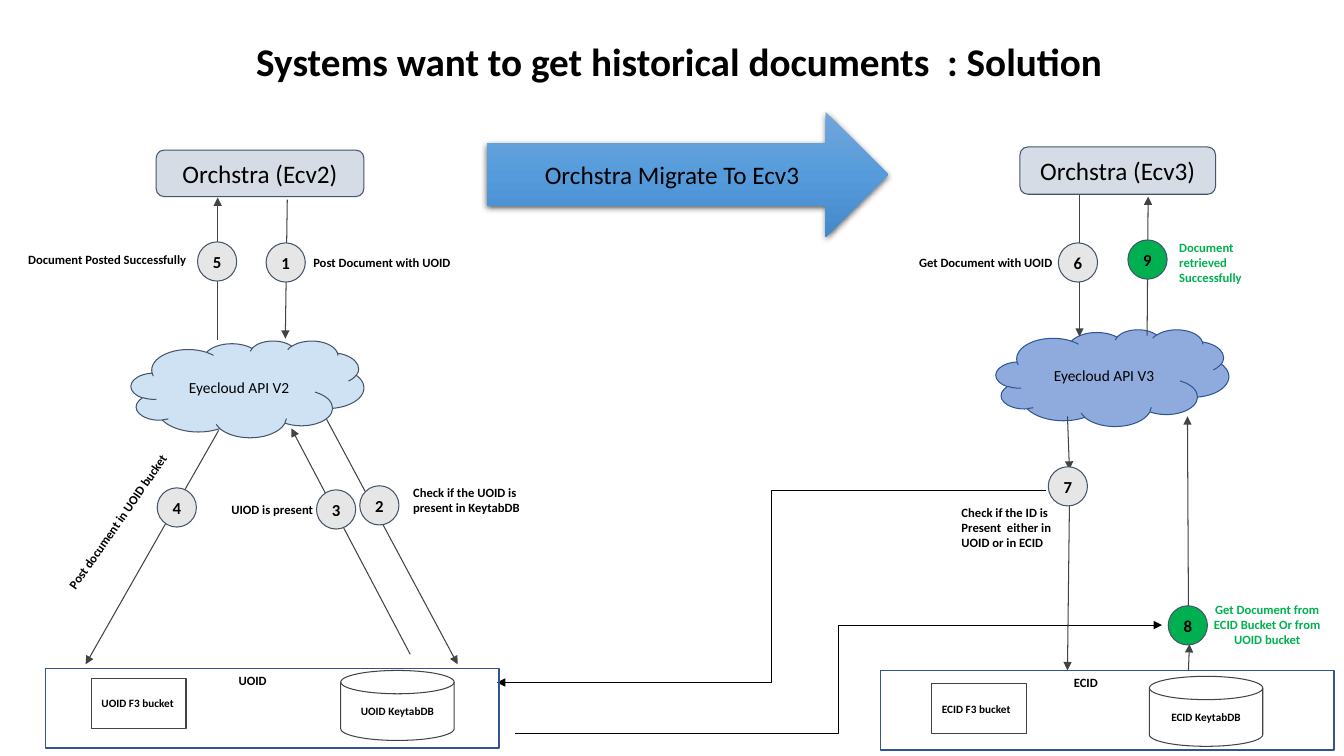
from lxml import etree
from pptx import Presentation
from pptx.dml import color
from pptx.enum import shapes, text
from pptx.oxml import ns, parse_xml
from pptx.util import Pt

KINDS = shapes.MSO_SHAPE
LINKS = shapes.MSO_CONNECTOR
ALIGN = text.PP_ALIGN
GREY, SLATE, GREEN = "434343", "44546A", "00B050"
CIRCLE = 28


def rgb(code):
    return color.RGBColor.from_string(code)


def write(frame, words, size, bold=False, ink="000000", align=ALIGN.CENTER,
          inset=7.2, anchor=text.MSO_ANCHOR.MIDDLE, spacing=None):
    settings = {"word_wrap": True, "vertical_anchor": anchor}
    settings.update({"margin_" + side: Pt(inset)
                     for side in ("left", "right", "top", "bottom")})
    for name, value in settings.items():
        setattr(frame, name, value)
    para = frame.paragraphs[0]
    para.alignment = align
    para.line_spacing = spacing
    span = para.add_run()
    span.text = words
    for name, value in {"name": "Calibri", "size": Pt(size), "bold": bold}.items():
        setattr(span.font, name, value)
    span.font.color.rgb = rgb(ink)


def figure(page, kind, box, fill=None, line=GREY, width=0.75):
    shape = page.shapes.add_shape(kind, *map(Pt, box))
    shape.shadow.inherit = False
    if fill:
        shape.fill.solid()
        shape.fill.fore_color.rgb = rgb(fill)
    else:
        shape.fill.background()
    shape.line.color.rgb = rgb(line)
    shape.line.width = Pt(width)
    return shape


def label(page, x, y, width, words, ink="000000", align=ALIGN.LEFT, height=36):
    shape = page.shapes.add_textbox(Pt(x), Pt(y), Pt(width), Pt(height))
    write(shape.text_frame, words, 9, True, ink, align, anchor=text.MSO_ANCHOR.TOP)
    return shape


def arrow(page, start, end, kind=LINKS.STRAIGHT, line=GREY, width=0.75):
    link = page.shapes.add_connector(kind, *map(Pt, (*start, *end)))
    link.line.color.rgb = rgb(line)
    link.line.width = Pt(width)
    etree.SubElement(link.line._get_or_add_ln(), ns.qn("a:tailEnd"), type="triangle")
    etree.SubElement(link._element.spPr, ns.qn("a:effectLst"))


def step(page, x, y, number, fill="E7E6E6"):
    shape = figure(page, KINDS.OVAL, (x, y, CIRCLE, CIRCLE), fill, SLATE)
    write(shape.text_frame, str(number), 12, True, inset=0)


def title(page, box):
    shape = page.shapes.add_textbox(*map(Pt, box))
    write(shape.text_frame, "Systems want to get historical documents  : Solution",
          28, True, inset=0, spacing=0.9)


def migration(page, box):
    shape = figure(page, KINDS.RIGHT_ARROW, box)
    shape.line.fill.background()
    # Three-stop vertical gradient
    shape.fill.gradient()
    shape.fill.gradient_angle = 270
    stops = shape._element.spPr.find(ns.qn("a:gradFill")).find(ns.qn("a:gsLst"))
    for stop in list(stops):
        stops.remove(stop)
    for position, code in ((0, "71A6DB"), (50, "559BDB"), (100, "448ACA")):
        stop = etree.SubElement(stops, ns.qn("a:gs"), pos=str(position * 1000))
        etree.SubElement(stop, ns.qn("a:srgbClr"), val=code)
    # Soft shadow below
    effects = shape._element.spPr.find(ns.qn("a:effectLst"))
    effects.append(parse_xml(
        f'<a:outerShdw {ns.nsdecls("a")} blurRad="57150" dist="19050" dir="5400000" '
        'algn="ctr" rotWithShape="0"><a:srgbClr val="000000">'
        '<a:alpha val="63000"/></a:srgbClr></a:outerShdw>'))
    write(shape.text_frame, "Orchstra Migrate To Ecv3", 18)


def store(page, box, name, bucket, disk):
    left, top, width, height = box
    for kind, (x, y), size, words, align in (
            (KINDS.RECTANGLE, bucket, (67.5, 36), "F3 bucket", ALIGN.LEFT),
            (KINDS.FLOWCHART_MAGNETIC_DISK, disk, (81, 50), "KeytabDB", ALIGN.CENTER)):
        shape = figure(page, kind, (left + x, top + y, *size))
        write(shape.text_frame, f"{name} {words}", 8, True, align=align)
    figure(page, KINDS.RECTANGLE, box, line="325491", width=1)
    label(page, left + 131, top - 2.5, 42, name)


def system(page, box, client, cloud, arrows, steps, labels):
    left, top = box[:2]

    def place(x, y):
        return left + x, top + y

    # Client and cloud service
    for kind, (x, y, width, height), fill, line, words, size in (
            (KINDS.FLOWCHART_ALTERNATE_PROCESS, *client, 18),
            (KINDS.CLOUD, *cloud, 11)):
        shape = figure(page, kind, (*place(x, y), width, height), fill, line)
        write(shape.text_frame, words, size)
    # Flow arrows, numbered steps and their labels
    for x1, y1, x2, y2 in arrows:
        arrow(page, place(x1, y1), place(x2, y2))
    for x, y, *details in steps:
        step(page, *place(x, y), *details)
    for x, y, *details in labels:
        label(page, *place(x, y), *details)


def old_system(page, box):
    left, top = box[:2]
    system(
        page, box,
        ((99.6, 2.3, 148.3, 33.1), "D6DCE5", SLATE, "Orchstra (Ecv2)"),
        ((81.6, 138.4, 166.3, 69.1), "CFE2F3", SLATE, "Eyecloud API V2"),
        [(193.2, 37.6, 191.8, 136.9), (143.5, 137.6, 143.5, 36.1),
         (221.3, 194.5, 314.9, 369.5), (144.2, 202.4, 49.2, 369.5),
         (281, 362.3, 196.1, 201)],
        [(178.1, 68.5, 1), (245, 242, 2), (214.1, 244.9, 3),
         (100.3, 243.5, 4), (129.1, 67.8, 5)],
        [(204.7, 71.4, 139.7, "Post Document with UOID"),
         (1, 69.2, 129.6, "Document Posted Successfully"),
         (276, 234.1, 98, "Check if the UOID is present in KeytabDB"),
         (133.4, 247.8, 98, "UIOD is present", "000000", ALIGN.CENTER)])
    slanted = label(page, left + 8.9, top + 255.7, 129.6,
                    "Post document in UOID bucket", height=25.2)
    slanted.rotation = 305
    store(page, (left + 20.4, top + 372.4, 324, 57), "UOID", (33, 7), (211, 1.5))


def new_system(page, box):
    left, top = box[:2]
    system(
        page, box,
        ((99.6, 0, 139.7, 33.8), "D6DCE5", SLATE, "Orchstra (Ecv3)"),
        ((82.4, 130.4, 166.3, 69.1), "8FAADC", "2F5597", "Eyecloud API V3"),
        [(142.1, 34, 142.1, 135.5), (190.4, 134.8, 191.1, 35.4),
         (133.5, 192.4, 134.9, 230.5), (134.9, 256.4, 133.5, 373.8),
         (219.9, 373.8, 220.6, 355.1), (219.9, 327.7, 219.2, 192.4)],
        [(127, 68.5, 6), (119.8, 228.4, 7),
         (205.5, 327.7, 8, GREEN), (176.7, 66.4, 9, GREEN)],
        [(20.4, 71.4, 139.7, "Get Document with UOID"),
         (206.2, 59.2, 72.7, "Document retrieved Successfully", GREEN),
         (50.7, 248.5, 98, "Check if the ID is Present  either in UOID or in ECID"),
         (227.1, 317.6, 98, "Get Document from ECID Bucket Or from UOID bucket",
          GREEN, ALIGN.CENTER)])
    store(page, (left, top + 373.8, 324, 57), "ECID", (36.7, 9.4), (192, 4.3))


def cross_links(page, box):
    left, top, width, height = box
    for start, end in (((width - 83, 0), (0, 137.5)),
                       ((13, height), (width, 96.5))):
        arrow(page, (left + start[0], top + start[1]), (left + end[0], top + end[1]),
              LINKS.ELBOW, "000000", 0.5)


def main():
    deck = Presentation()
    deck.slide_width, deck.slide_height = Pt(960), Pt(540)
    page = deck.slides.add_slide(deck.slide_layouts[6])
    cross_links(page, (355, 350, 475, 174))
    title(page, (119, 23, 732, 45))
    old_system(page, (12, 105, 374, 430))
    new_system(page, (629, 105, 325, 431))
    migration(page, (348, 80, 286.5, 89.5))
    deck.save("out.pptx")


if __name__ == "__main__":
    main()
